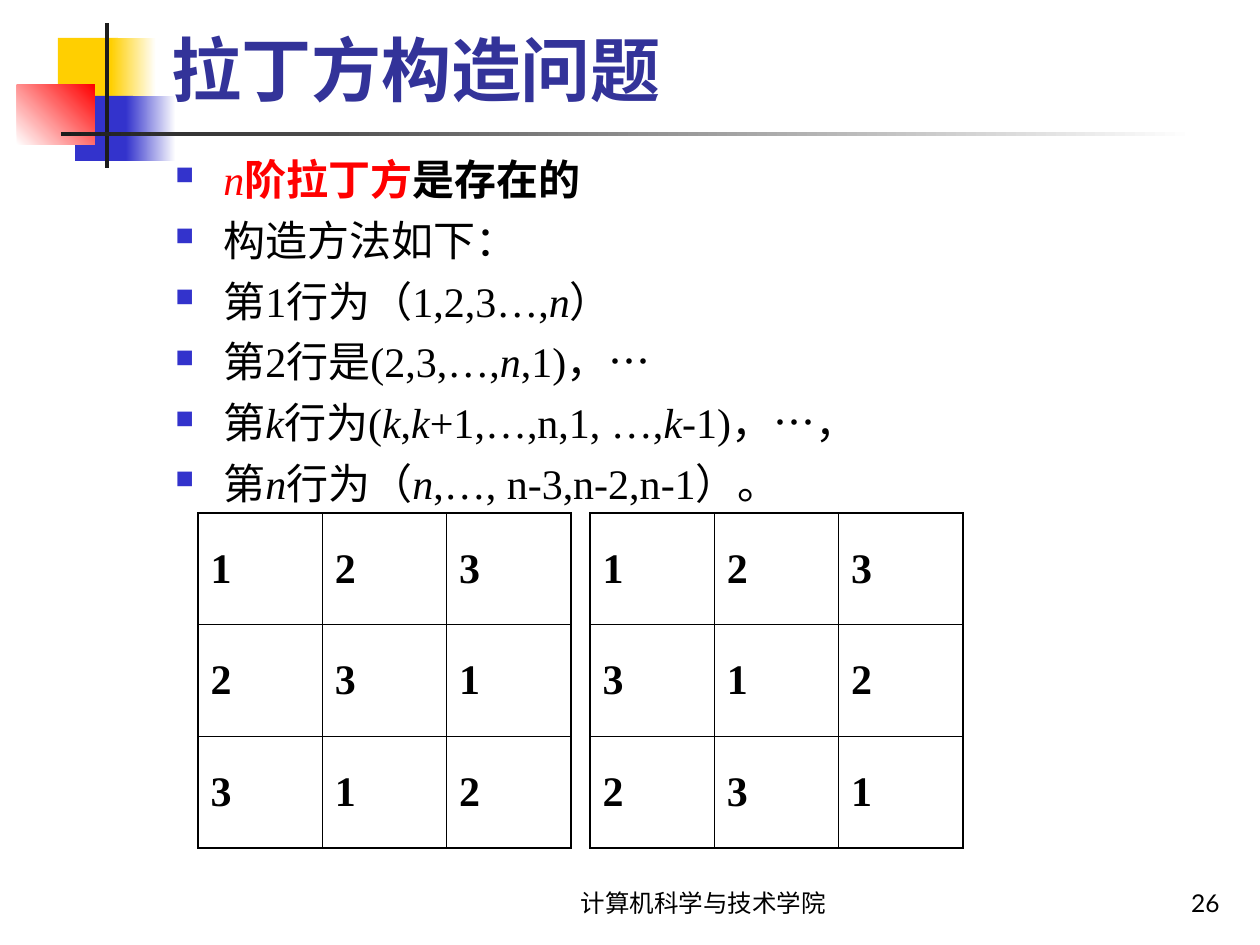
"""Builds the slide on constructing Latin squares."""
from lxml.etree import SubElement as Sub
from pptx import Presentation
from pptx.dml.color import RGBColor
from pptx.enum.shapes import MSO_SHAPE as Shape
from pptx.enum.text import MSO_ANCHOR as Anchor, PP_ALIGN as Align
from pptx.oxml.ns import qn
from pptx.util import Emu, Pt

SCALE = 914400 / 126
BLACK = RGBColor(0x00, 0x00, 0x00)
WHITE = RGBColor(0xFF, 0xFF, 0xFF)
INK = RGBColor(0x1C, 0x1C, 0x1C)
GOLD = RGBColor(0xFF, 0xCF, 0x01)
BLUE = RGBColor(0x33, 0x33, 0xCC)
NAVY = RGBColor(0x33, 0x33, 0x99)
RED = RGBColor(0xFF, 0x00, 0x00)
SANS, SERIF = "Lato", "Times New Roman"

BLOCKS = [
    ((58, 38, 60, 66), (GOLD,), 0),
    ((111, 38, 45, 66), (GOLD, WHITE), 0),
    ((75, 96, 58, 65), (BLUE,), 0),
    ((126, 96, 50, 65), (BLUE, WHITE), 0),
    ((17, 85, 78, 60), (WHITE, RED), 45),
    ((105, 23, 4, 145), (INK,), 0),
    ((61, 132, 1134, 4), (INK, WHITE), 0),
]
STEPS = [
    "构造方法如下：",
    "第1行为（1,2,3…,*n*）",
    "第2行是(2,3,…,*n*,1)，…",
    "第*k*行为(*k*,*k*+1,…,n,1, …,*k*-1)，…，",
    "第*n*行为（*n*,…, n-3,n-2,n-1）。",
]
SQUARES = [(198, ["123", "231", "312"]), (590, ["123", "312", "231"])]


def px(num):
    """Turn pixels into EMU."""
    return Emu(round(num * SCALE))


def write(par, text, size=24, face=SERIF, color=BLACK, bold=False):
    """Add text to a paragraph, with the parts between stars in italics."""
    for i, part in enumerate(text.split("*")):
        if part:
            run = par.add_run()
            run.text = part
            font = run.font
            font.size, font.name, font.bold = Pt(size), face, bold
            font.italic = i % 2 == 1
            font.color.rgb = color


def add_block(slide, box, tones, angle):
    """Add a rectangle with a plain or a two-tone fill."""
    block = slide.shapes.add_shape(Shape.RECTANGLE, *map(px, box))
    block.shadow.inherit = False
    block.line.fill.background()
    if len(tones) == 1:
        block.fill.solid()
        block.fill.fore_color.rgb = tones[0]
        return
    block.fill.gradient()
    block.fill.gradient_angle = angle
    for stop, tone in zip(block.fill.gradient_stops, tones):
        stop.color.rgb = tone


def add_box(slide, box, anchor=Anchor.BOTTOM):
    """Add a wrapping text box and return its frame."""
    frame = slide.shapes.add_textbox(*map(px, box)).text_frame
    frame.word_wrap = True
    frame.vertical_anchor = anchor
    return frame


def add_label(slide, box, text, align=Align.LEFT, **style):
    """Add a single line of text."""
    par = add_box(slide, box).paragraphs[0]
    par.alignment = align
    write(par, text, face=SANS, **style)


def set_bullet(par):
    """Give a paragraph a small blue square and a hanging indent."""
    props = par._p.get_or_add_pPr()
    props.set("marL", str(px(48)))
    props.set("indent", str(px(-48)))
    tone = Sub(props, qn("a:buClr"))
    Sub(tone, qn("a:srgbClr"), val=str(BLUE))
    Sub(props, qn("a:buSzPct"), val="60000")
    Sub(props, qn("a:buChar"), char="■")


def add_steps(slide):
    """Add the bulleted list."""
    frame = add_box(slide, (163, 147, 1071, 698), Anchor.TOP)
    par = frame.paragraphs[0]
    set_bullet(par)
    write(par, "*n*", color=RED)
    write(par, "阶拉丁方", color=RED, bold=True)
    write(par, "是存在的", bold=True)
    for text in STEPS:
        par = frame.add_paragraph()
        set_bullet(par)
        par.space_before = Pt(6)
        write(par, text)


def set_edge(cell, side, width):
    """Draw one border of a cell."""
    props = cell._tc.get_or_add_tcPr()
    line = Sub(props, qn(f"a:ln{side}"), w=str(Pt(width)))
    fill = Sub(line, qn("a:solidFill"))
    Sub(fill, qn("a:srgbClr"), val=str(BLACK))


def add_square(slide, left, rows):
    """Add a Latin square with a heavier outer frame."""
    size = len(rows)
    box = map(px, (left, 513, 373, 335))
    table = slide.shapes.add_table(size, size, *box).table
    table.first_row = table.horz_banding = False
    last = size - 1
    for r, row in enumerate(rows):
        for c, digit in enumerate(row):
            cell = table.cell(r, c)
            outer = {"L": c == 0, "R": c == last, "T": r == 0, "B": r == last}
            for side, heavy in outer.items():
                set_edge(cell, side, 1.08 if heavy else 0.45)
            cell.fill.background()
            cell.vertical_anchor = Anchor.MIDDLE
            write(cell.text_frame.paragraphs[0], digit, bold=True)


def main():
    """Build and save the slide."""
    deck = Presentation()
    deck.slide_width, deck.slide_height = px(1260), px(945)
    slide = deck.slides.add_slide(deck.slide_layouts[6])
    for block in BLOCKS:
        add_block(slide, *block)
    add_label(slide, (504, 861, 399, 63), "计算机科学与技术学院",
              Align.CENTER, size=14)
    add_label(slide, (970, 861, 262, 63), "26", Align.RIGHT, size=14)
    add_steps(slide)
    add_label(slide, (159, 23, 1074, 94), "拉丁方构造问题",
              size=40, color=NAVY, bold=True)
    for left, rows in SQUARES:
        add_square(slide, left, rows)
    deck.save("out.pptx")


if __name__ == "__main__":
    main()
